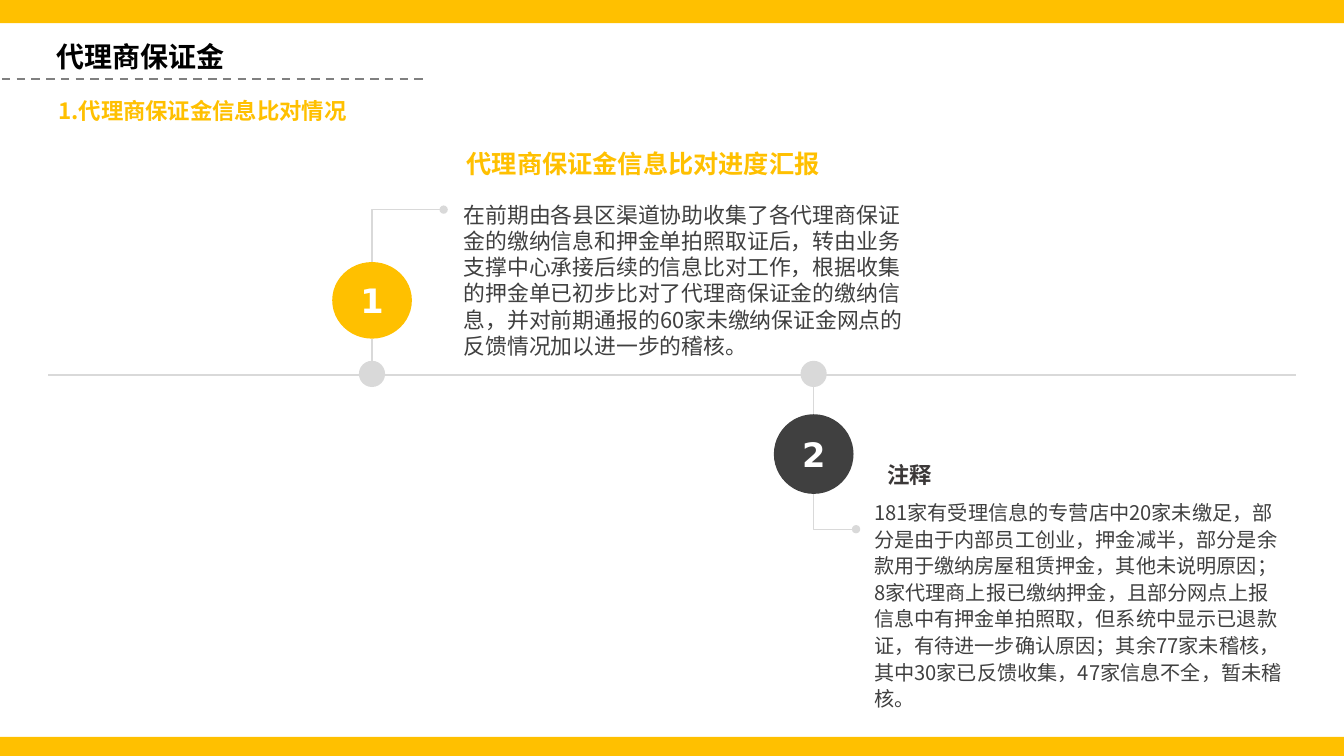
from dataclasses import dataclass

from lxml.etree import SubElement
from pptx import Presentation
from pptx.dml.color import RGBColor
from pptx.enum.dml import MSO_LINE_DASH_STYLE as Dash
from pptx.enum.shapes import MSO_CONNECTOR as Link, MSO_SHAPE as Shape
from pptx.enum.text import MSO_ANCHOR as Anchor, MSO_AUTO_SIZE as Fit, PP_ALIGN as Align
from pptx.oxml.ns import qn
from pptx.util import Emu, Pt


@dataclass(frozen=True)
class Theme:
    """Colours, fonts and type sizes of the slide."""
    gold: str = "FFC000"
    dark: str = "404040"
    note: str = "3B3838"
    pale: str = "D9D9D9"
    dash: str = "808080"
    black: str = "000000"
    white: str = "FFFFFF"
    latin: str = "DejaVu Sans"
    chinese: str = "Noto Sans CJK SC"
    number: float = 24
    title: float = 20
    heading: float = 18
    label: float = 16
    report: float = 15.6
    remark: float = 14.4


THEME = Theme()
AXIS_Y = 372
DOT = 26

REPORT = (
    "在前期由各县区渠道协助收集了各代理商保证金的缴纳信息和押金单拍照取证后，"
    "转由业务支撑中心承接后续的信息比对工作，根据收集的押金单已初步比对了代理商保证金的缴纳信息，"
    "并对前期通报的60家未缴纳保证金网点的反馈情况加以进一步的稽核。"
)
REMARK = (
    "181家有受理信息的专营店中20家未缴足，部分是由于内部员工创业，押金减半，"
    "部分是余款用于缴纳房屋租赁押金，其他未说明原因；8家代理商上报已缴纳押金，"
    "且部分网点上报信息中有押金单拍照取，但系统中显示已退款证，有待进一步确认原因；"
    "其余77家未稽核，其中30家已反馈收集，47家信息不全，暂未稽核。"
)


def px(length):
    """Turn px, at 100 to the inch, into EMU."""
    return Emu(round(length * 9144))


def write(frame, text, size, color, bold=False, font=THEME.chinese):
    """Fill a text frame with one formatted paragraph."""
    frame.text = text
    frame.word_wrap = True
    para = frame.paragraphs[0]
    for span in para.runs:
        span.font.size = Pt(size)
        span.font.bold = bold
        span.font.name = font
        span.font.color.rgb = RGBColor.from_string(color)
        SubElement(span.font._element, qn("a:ea"), typeface=THEME.chinese)
    return para


def add_text(page, place, text, size, color, bold=False, anchor=Anchor.TOP):
    """Add a wrapping text box and return its paragraph."""
    box = page.shapes.add_textbox(*map(px, place))
    box.text_frame.vertical_anchor = anchor
    return write(box.text_frame, text, size, color, bold)


def add_shape(page, kind, place, color):
    """Add a flat shape without outline."""
    shape = page.shapes.add_shape(kind, *map(px, place))
    shape.shadow.inherit = False
    shape.fill.solid()
    shape.fill.fore_color.rgb = RGBColor.from_string(color)
    shape.line.fill.background()
    return shape


def add_line(page, start, end, color, width, kind=Link.STRAIGHT):
    """Add a connector without shadow."""
    line = page.shapes.add_connector(kind, *map(px, (*start, *end)))
    line.line.color.rgb = RGBColor.from_string(color)
    line.line.width = Pt(width)
    SubElement(line._element.spPr, qn("a:effectLst"))
    return line


def add_elbow(page, start, end):
    """Add a bend that runs vertically, then right to a round end."""
    (left, first), (right, last) = start, end
    middle_x, middle_y = (left + right) / 2, (first + last) / 2
    half_rise, half_run = abs(last - first) / 2, (right - left) / 2
    upward = last < first
    lean = half_run if upward else -half_run
    bend = add_line(page, (middle_x + half_rise, middle_y + lean),
                    (middle_x - half_rise, middle_y - lean), THEME.pale, 1, Link.ELBOW)
    properties = bend._element.spPr
    properties.find(qn("a:xfrm")).set("rot", str((90 if upward else 270) * 60000))
    properties.find(qn("a:prstGeom")).set("prst", "bentConnector2")
    SubElement(properties.find(qn("a:ln")), qn("a:tailEnd"), type="oval")


def add_milestone(page, number, center, top, height, color, tip):
    """Add an axis dot, its stem, a numbered circle and a bend to the text."""
    above = top < AXIS_Y
    near, far = (top + height, top) if above else (top, top + height)
    edge = 358 if above else 358 + DOT
    add_shape(page, Shape.OVAL, (center - DOT / 2, 358, DOT, DOT), THEME.pale)
    add_line(page, (center, edge), (center, near), THEME.pale, 1)
    add_elbow(page, (center, far), tip)
    circle = add_shape(page, Shape.OVAL, (center - 39.5, top, 79, height), color)
    frame = circle.text_frame
    frame.margin_left = frame.margin_right = frame.margin_top = frame.margin_bottom = 0
    frame.vertical_anchor = Anchor.MIDDLE
    para = write(frame, number, THEME.number, THEME.white, True, THEME.latin)
    para.alignment = Align.CENTER


def add_title(page, place, text):
    """Move and format the title placeholder."""
    title = page.shapes.title
    title.left, title.top, title.width, title.height = map(px, place)
    title.text_frame.auto_size = Fit.NONE
    title.text_frame.vertical_anchor = Anchor.TOP
    para = write(title.text_frame, text, THEME.title, THEME.black, True, THEME.latin)
    para.alignment = Align.LEFT


def main():
    """Build the slide and save it."""
    deck = Presentation()
    deck.slide_width, deck.slide_height = px(1333), px(750)
    page = deck.slides.add_slide(deck.slide_layouts[5])

    add_line(page, (48, AXIS_Y), (1285, AXIS_Y), THEME.pale, 1.5)
    add_milestone(page, "1", 369, 260, 76, THEME.gold, (440, 208))
    add_text(page, (453, 144, 417, 37), "代理商保证金信息比对进度汇报",
             THEME.heading, THEME.gold, True, Anchor.MIDDLE)
    add_text(page, (450, 195, 464, 163), REPORT, THEME.report, THEME.dark)

    add_milestone(page, "2", 807, 411, 79, THEME.dark, (849, 525))
    add_text(page, (870, 452, 315, 37), "注释",
             THEME.label, THEME.note, True, Anchor.MIDDLE)
    remark = add_text(page, (857, 489, 428, 191), REMARK, THEME.remark, THEME.dark)
    remark.line_spacing = 1.1

    for top in (731, -30):
        add_shape(page, Shape.RECTANGLE, (0, top, 1336, 53), THEME.gold)
    add_title(page, (46, 34, 305, 44), "代理商保证金")
    rule = add_line(page, (2, 78), (424, 78), THEME.dash, 1.5)
    rule.line.dash_style = Dash.DASH
    add_text(page, (48, 91, 307, 37), "1.代理商保证金信息比对情况",
             THEME.label, THEME.gold, True)
    deck.save("out.pptx")


if __name__ == "__main__":
    main()
